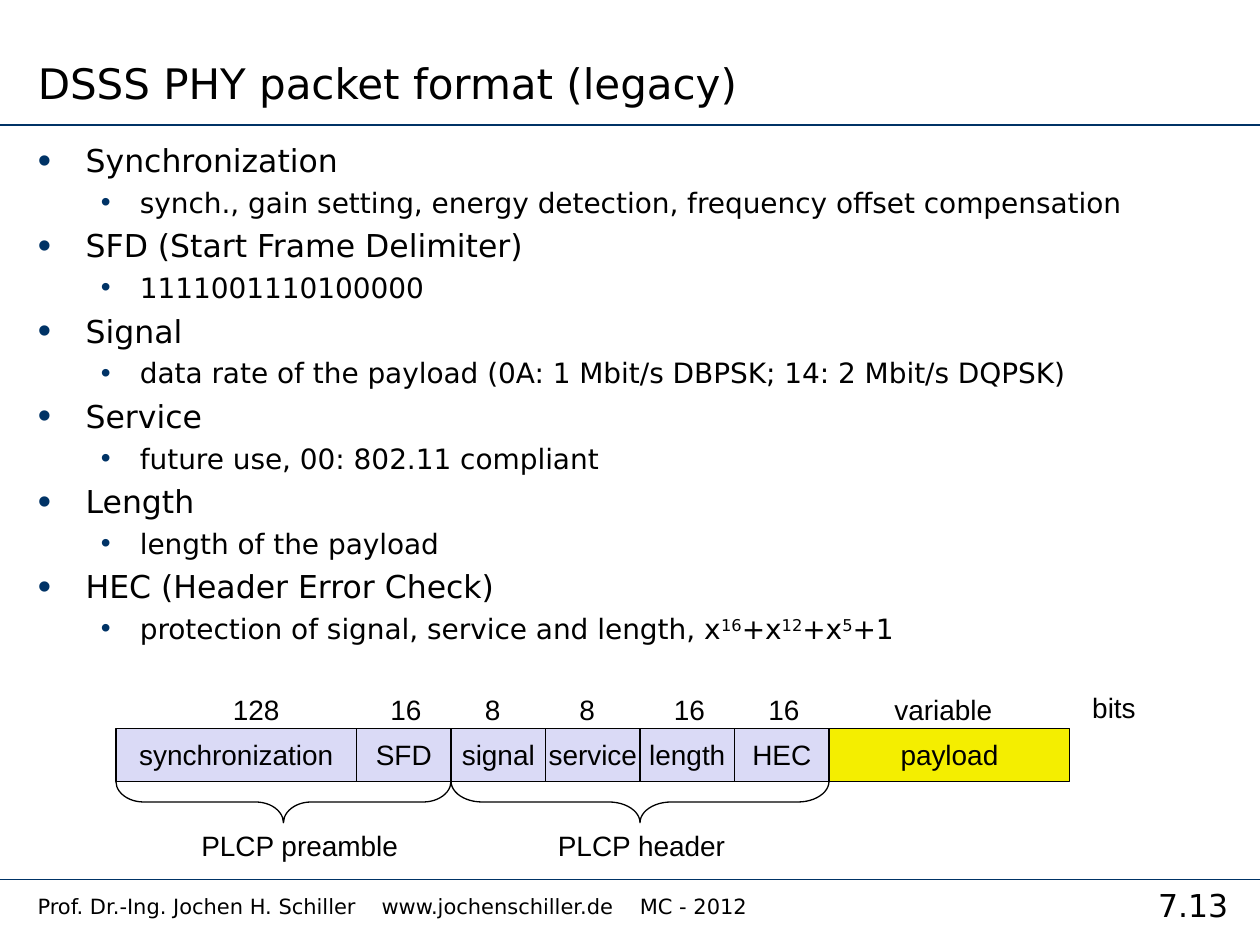
import pptx
import pptx.dml.color
import pptx.enum.shapes
import pptx.enum.text
import pptx.oxml.ns
import pptx.util
from lxml import etree

Inches, Pt = pptx.util.Inches, pptx.util.Pt
qn = pptx.oxml.ns.qn
ALIGN = pptx.enum.text.PP_ALIGN
ANCHOR = pptx.enum.text.MSO_ANCHOR
SHAPE = pptx.enum.shapes.MSO_SHAPE

COLORS = {"text": "000000", "rule": "003366", "field": "DADAF6", "payload": "F4EE00"}


def rgb(name):
    return pptx.dml.color.RGBColor.from_string(COLORS[name])


class SlideBuilder:
    heading_font = "DejaVu Sans"
    diagram_font = "Arial"

    def __init__(self, prs):
        self.s = prs.slides.add_slide(prs.slide_layouts[1])

    def place(self, sp, left, top, width, height):
        sp.left, sp.top = Inches(left), Inches(top)
        sp.width, sp.height = Inches(width), Inches(height)

    def style(self, p, size, font, align=ALIGN.LEFT):
        p.alignment = align
        for r in p.runs:
            r.font.size, r.font.name = Pt(size), font
            r.font.color.rgb = rgb("text")

    def title(self, text, *box):
        sp = self.s.shapes.title
        self.place(sp, *box)
        tf = sp.text_frame
        tf.text = text
        tf.auto_size = pptx.enum.text.MSO_AUTO_SIZE.NONE
        tf.vertical_anchor = ANCHOR.BOTTOM
        self.style(tf.paragraphs[0], 24, self.heading_font)

    def bullet(self, p, indent, hanging, percent):
        pPr = p._p.get_or_add_pPr()
        pPr.set("marL", str(Inches(indent)))
        pPr.set("indent", str(-Inches(hanging)))
        clr = etree.SubElement(pPr, qn("a:buClr"))
        etree.SubElement(clr, qn("a:srgbClr"), val=COLORS["rule"])
        etree.SubElement(pPr, qn("a:buSzPct"), val=str(percent * 1000))
        etree.SubElement(pPr, qn("a:buFont"), typeface="Arial")
        etree.SubElement(pPr, qn("a:buChar"), char="•")

    def body(self, items, *box):
        """Each item is a heading and the pieces of its detail line; odd pieces are raised."""
        sp = self.s.placeholders[1]
        self.place(sp, *box)
        tf = sp.text_frame
        tf.auto_size = pptx.enum.text.MSO_AUTO_SIZE.NONE
        for i, (heading, pieces) in enumerate(items):
            p = tf.add_paragraph() if i else tf.paragraphs[0]
            p.text = heading
            self.bullet(p, 0.38, 0.38, 120)
            p.space_before = Pt(4.2 if i else 0)
            self.style(p, 18, self.heading_font)

            p = tf.add_paragraph()
            p.level = 1
            self.bullet(p, 0.81, 0.31, 100)
            p.space_before = Pt(3.7)
            for j, piece in enumerate(pieces):
                r = p.add_run()
                r.text = piece
                if j % 2:
                    r._r.get_or_add_rPr().set("baseline", "30000")
            self.style(p, 16, self.heading_font)

    def text(self, text, left, top, width, height, size=16, font=diagram_font,
             align=ALIGN.LEFT, wrap=False, tabs=()):
        tf = self.s.shapes.add_textbox(
            Inches(left), Inches(top), Inches(width), Inches(height)).text_frame
        tf.word_wrap = wrap
        p = tf.paragraphs[0]
        p.text = text
        if tabs:
            stops = etree.SubElement(p._p.get_or_add_pPr(), qn("a:tabLst"))
            for pos in tabs:
                etree.SubElement(stops, qn("a:tab"), pos=str(Inches(pos)), algn="l")
        self.style(p, size, font, align)

    def rule(self, y):
        line = self.s.shapes.add_connector(
            pptx.enum.shapes.MSO_CONNECTOR.STRAIGHT, 0, Inches(y), Inches(10), Inches(y))
        line.line.color.rgb = rgb("rule")
        line.line.width = Pt(1)
        etree.SubElement(line._element.spPr, qn("a:effectLst"))

    def shape(self, kind, left, top, width, height):
        sp = self.s.shapes.add_shape(
            kind, Inches(left), Inches(top), Inches(width), Inches(height))
        sp.shadow.inherit = False
        sp.line.color.rgb = rgb("text")
        sp.line.width = Pt(0.75)
        return sp

    def field(self, text, left, top, width, height, fill):
        sp = self.shape(SHAPE.RECTANGLE, left, top, width, height)
        sp.fill.solid()
        sp.fill.fore_color.rgb = rgb(fill)
        tf = sp.text_frame
        tf.word_wrap = False
        tf.vertical_anchor = ANCHOR.MIDDLE
        tf.text = text
        self.style(tf.paragraphs[0], 16, self.diagram_font, ALIGN.CENTER)

    def brace(self, left, right, top, depth, curve):
        """A brace below the span from left to right, pointing down."""
        span = right - left
        sp = self.shape(SHAPE.LEFT_BRACE, (left + right - depth) / 2,
                        top + (depth - span) / 2, depth, span)
        sp.rotation = 270
        sp.adjustments[0] = curve
        sp.fill.background()


def main():
    prs = pptx.Presentation()
    prs.slide_width, prs.slide_height = Inches(10), Inches(7.5)
    b = SlideBuilder(prs)

    # Rules and footer
    b.rule(0.99)
    b.rule(6.98)
    b.text("7.13", 8.94, 6.98, 1.06, 0.4, 18, b.heading_font, ALIGN.CENTER, True)
    b.text("Prof. Dr.-Ing. Jochen H. Schiller\twww.jochenschiller.de\tMC - 2012",
           0.2, 7.04, 8.74, 0.33, 12, b.heading_font, wrap=True, tabs=(2.73, 4.78))

    # Title and list
    b.title("DSSS PHY packet format (legacy)", 0.2, 0, 6.61, 0.91)
    b.body([
        ("Synchronization",
         ["synch., gain setting, energy detection, frequency offset compensation"]),
        ("SFD (Start Frame Delimiter)", ["1111001110100000"]),
        ("Signal", ["data rate of the payload (0A: 1 Mbit/s DBPSK; 14: 2 Mbit/s DQPSK)"]),
        ("Service", ["future use, 00: 802.11 compliant"]),
        ("Length", ["length of the payload"]),
        ("HEC (Header Error Check)",
         ["protection of signal, service and length, x", "16", "+x", "12", "+x", "5", "+1"]),
    ], 0.2, 1.07, 9.61, 4.17)

    # Packet fields: name, width, bits, left and width of the bits label
    wide, narrow = 1.91, 0.75
    fields = [
        ("synchronization", wide, "128", 1.75, 0.57),
        ("SFD", narrow, "16", 3, 0.45),
        ("signal", narrow, "8", 3.75, 0.32),
        ("service", narrow, "8", 4.5, 0.32),
        ("length", narrow, "16", 5.25, 0.45),
        ("HEC", narrow, "16", 6, 0.45),
        ("payload", wide, "variable", 7, 0.98),
    ]
    edges = [0.92]
    for name, width, bits, label_left, label_width in fields:
        fill = "payload" if name == "payload" else "field"
        b.field(name, edges[-1], 5.78, width, 0.42, fill)
        b.text(bits, label_left, 5.45, label_width, 0.37)
        edges.append(edges[-1] + width)
    b.text("bits", 8.57, 5.43, 0.55, 0.37)

    # Braces with captions
    b.brace(edges[0], edges[2], 6.2, 0.33, 0.67)
    b.text("PLCP preamble", 1.5, 6.53, 1.77, 0.37)
    b.brace(edges[2], edges[6], 6.2, 0.33, 0.75)
    b.text("PLCP header", 4.33, 6.53, 1.53, 0.37)

    prs.save("out.pptx")


if __name__ == "__main__":
    main()
